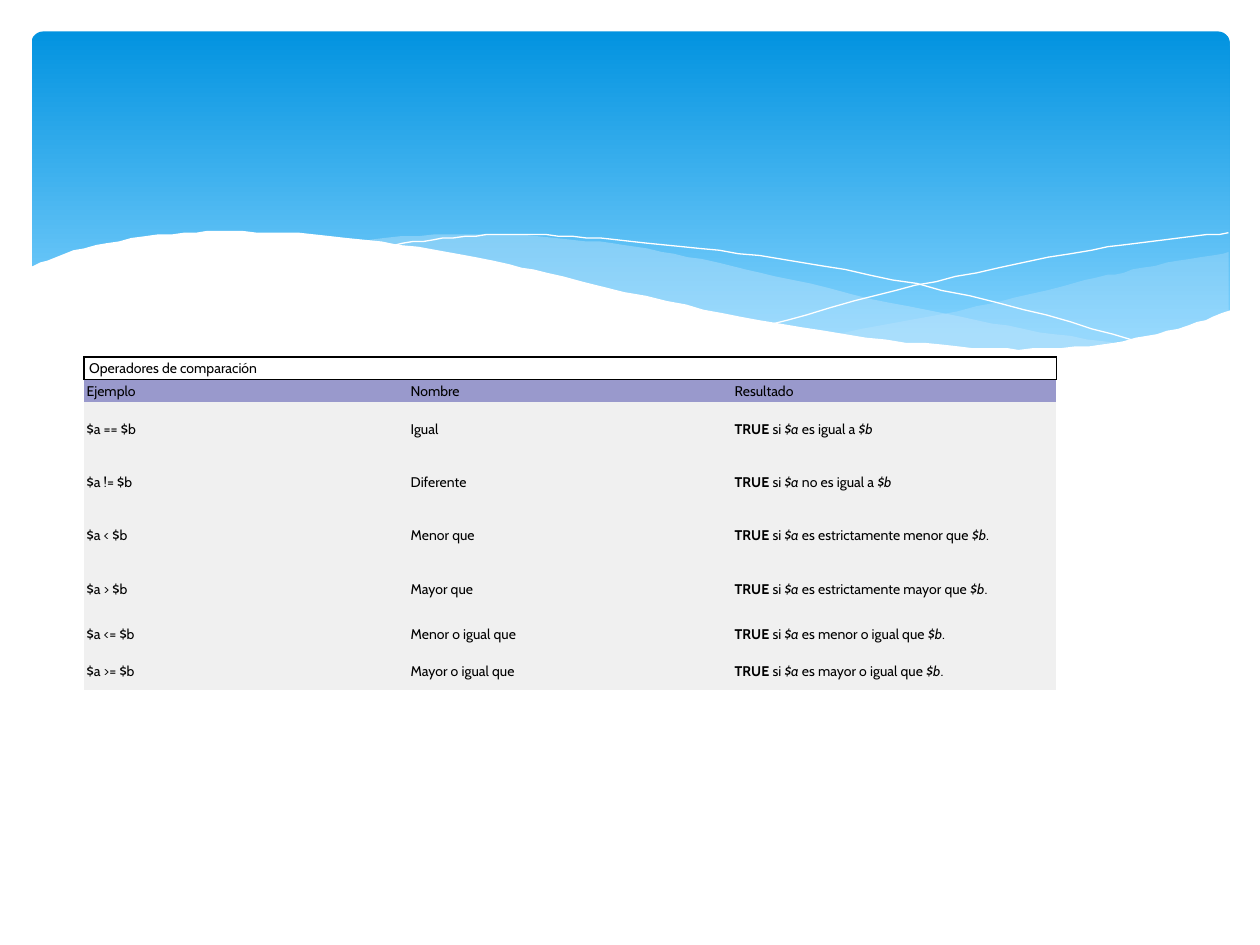
"""Build a slide with a wave header and a table of comparison operators."""
from lxml.etree import SubElement
from pptx import Presentation
from pptx.dml.color import RGBColor
from pptx.enum.shapes import MSO_SHAPE
from pptx.enum.text import MSO_ANCHOR
from pptx.oxml.ns import qn
from pptx.util import Pt

FONT, FONT_SIZE = "Cabin", 8
TITLE = "Operadores de comparación"
HEADINGS = ("Ejemplo", "Nombre", "Resultado")
OPERATORS = [
    ("==", "Igual", "es igual a", ""),
    ("!=", "Diferente", "no es igual a", ""),
    ("<", "Menor que", "es estrictamente menor que", "."),
    (">", "Mayor que", "es estrictamente mayor que", "."),
    ("<=", "Menor o igual que", "es menor o igual que", "."),
    (">=", "Mayor o igual que", "es mayor o igual que", "."),
]
TABLE_LEFT, TABLE_TOP, COLUMN_WIDTH = 48, 204, 185.2
ROW_HEIGHTS = [13] * 2 + [30.5] * 4 + [21.2] * 2
NO_STYLE = "{2D5ABB26-0587-4C30-8999-92F81FD0307C}"

RIGHT_VEIL = [
    [(702.5, 144), (673, 149), (641.5, 155.5), (620, 160.5), (579.5, 170.5), (525, 182), (476, 191)],
    [(476, 191), (507.5, 195), (545, 198.5), (578, 200), (615, 198.5), (646, 194.5), (673, 188.5),
     (702.5, 178)],
]
LEFT_VEIL = [
    [(643, 196.5), (602.5, 191), (558, 183), (508.5, 173), (453, 160), (409.5, 150), (370, 142.5),
     (335, 137.5), (287.5, 134), (247.5, 134), (206, 137.5)],
    [(206, 137.5), (246, 143.5), (291, 152), (323, 160), (381.5, 173), (432.5, 183.5), (479, 191.5),
     (520, 197.5), (556.5, 199.5), (589, 200), (617, 199.5), (643, 196.5)],
]
FALLING_LINE = [
    [(222.5, 140.5), (247.5, 137), (278.5, 134.5), (312, 134.5), (352, 137), (400.5, 142),
     (458, 150), (523.5, 162.5), (598.5, 180.5), (653, 196)],
]
RISING_LINE = [
    [(441.5, 185), (500.5, 169), (558.5, 155.5), (623.5, 143), (665.5, 137), (702, 133)],
]
WHITE_WAVE = [
    [(16.5, 153), (37, 145), (68, 137.5), (105, 133), (139, 132.5), (180, 134), (228, 139.5),
     (282, 149), (322, 158.5), (381, 172), (434, 183), (495, 193), (548, 198), (582.5, 199.5),
     (621.5, 197.5), (655, 192), (684, 184.5), (703.5, 177)],
    [(703.5, 237), (16.5, 237)],
]
WAVES = [
    (RIGHT_VEIL, "C6E7FC", 29),
    (LEFT_VEIL, "C6E7FC", 40),
    (FALLING_LINE, None, 100),
    (RISING_LINE, None, 100),
    (WHITE_WAVE, "FFFFFF", 100),
]


def color(value):
    return RGBColor.from_string(value)


def smooth(points, steps=5):
    """Return a Catmull-Rom curve through the points."""
    padded = [points[0], *points, points[-1]]
    curve = [points[0]]
    for a, b, c, d in zip(padded, padded[1:], padded[2:], padded[3:]):
        for step in range(1, steps + 1):
            t = step / steps
            curve.append(tuple(
                (2 * q + (r - p) * t + (2 * p - 5 * q + 4 * r - s) * t ** 2
                 + (3 * q - p - 3 * r + s) * t ** 3) / 2
                for p, q, r, s in zip(a, b, c, d)))
    return curve


def add_header(slide):
    shape = slide.shapes.add_shape(MSO_SHAPE.ROUNDED_RECTANGLE, Pt(18), Pt(18), Pt(684.7), Pt(194.4))
    shape.adjustments[0] = 0.034
    shape.shadow.inherit = False
    shape.line.fill.background()
    shape.fill.gradient()
    shape.fill.gradient_angle = 270
    for stop, (position, value) in zip(shape.fill.gradient_stops, [(0, "0293E0"), (0.9, "83D3FE")]):
        stop.position = position
        stop.color.rgb = color(value)


def add_wave(slide, sections, fill, opacity):
    points = [point for section in sections for point in smooth(section)]
    builder = slide.shapes.build_freeform(*points[0], scale=Pt(1))
    builder.add_line_segments(points[1:], close=fill is not None)
    shape = builder.convert_to_shape()
    shape.shadow.inherit = False
    if fill is None:
        shape.fill.background()
        shape.line.color.rgb = color("FFFFFF")
        shape.line.width = Pt(0)
        return
    shape.line.fill.background()
    shape.fill.solid()
    shape.fill.fore_color.rgb = color(fill)
    if opacity < 100:
        rgb = shape._element.spPr.find(f"{qn('a:solidFill')}/{qn('a:srgbClr')}")
        SubElement(rgb, qn("a:alpha"), val=str(opacity * 1000))


def write_cell(cell, runs, fill, margins=(1.5, 1.5)):
    cell.margin_left = cell.margin_right = Pt(margins[0])
    cell.margin_top = cell.margin_bottom = Pt(margins[1])
    cell.vertical_anchor = MSO_ANCHOR.MIDDLE
    cell.fill.solid()
    cell.fill.fore_color.rgb = color(fill)
    paragraph = cell.text_frame.paragraphs[0]
    for text, bold, italic in runs:
        run = paragraph.add_run()
        run.text = text
        run.font.name, run.font.size = FONT, Pt(FONT_SIZE)
        run.font.bold, run.font.italic = bold, italic
        run.font.color.rgb = color("000000")


def add_borders(cell, widths):
    properties = cell._tc.get_or_add_tcPr()
    for index, (side, width) in enumerate(widths.items()):
        line = properties.makeelement(qn(f"a:ln{side}"), {"w": str(Pt(width))})
        SubElement(SubElement(line, qn("a:solidFill")), qn("a:srgbClr"), val="000000")
        properties.insert(index, line)


def plain(text):
    return [(text, False, False)]


def add_operator_table(slide):
    frame = slide.shapes.add_table(
        len(ROW_HEIGHTS), len(HEADINGS), Pt(TABLE_LEFT), Pt(TABLE_TOP),
        Pt(COLUMN_WIDTH * len(HEADINGS)), Pt(sum(ROW_HEIGHTS)))
    table = frame.table
    table.first_row = table.horz_banding = False
    next(frame._element.iter(qn("a:tableStyleId"))).text = NO_STYLE
    for column in table.columns:
        column.width = Pt(COLUMN_WIDTH)
    for row, height in zip(table.rows, ROW_HEIGHTS):
        row.height = Pt(height)

    title_cell = table.cell(0, 0)
    title_cell.merge(table.cell(0, len(HEADINGS) - 1))
    write_cell(title_cell, plain(TITLE), "FFFFFF", (3, 1.5))
    add_borders(title_cell, {"L": 0.75, "R": 0.75, "T": 0.75, "B": 1})
    for index, heading in enumerate(HEADINGS):
        write_cell(table.cell(1, index), plain(heading), "9999CC")
    for row, (operator, name, relation, ending) in enumerate(OPERATORS, start=2):
        result = [("TRUE", True, False), (" si ", False, False), ("$a", False, True),
                  (f" {relation} ", False, False), ("$b", False, True)]
        if ending:
            result += plain(ending)
        for index, runs in enumerate((plain(f"$a {operator} $b"), plain(name), result)):
            write_cell(table.cell(row, index), runs, "F0F0F0")


def main():
    presentation = Presentation()
    presentation.slide_width, presentation.slide_height = Pt(720), Pt(540)
    slide = presentation.slides.add_slide(presentation.slide_layouts[6])
    add_header(slide)
    for wave in WAVES:
        add_wave(slide, *wave)
    add_operator_table(slide)
    presentation.save("out.pptx")


if __name__ == "__main__":
    main()
